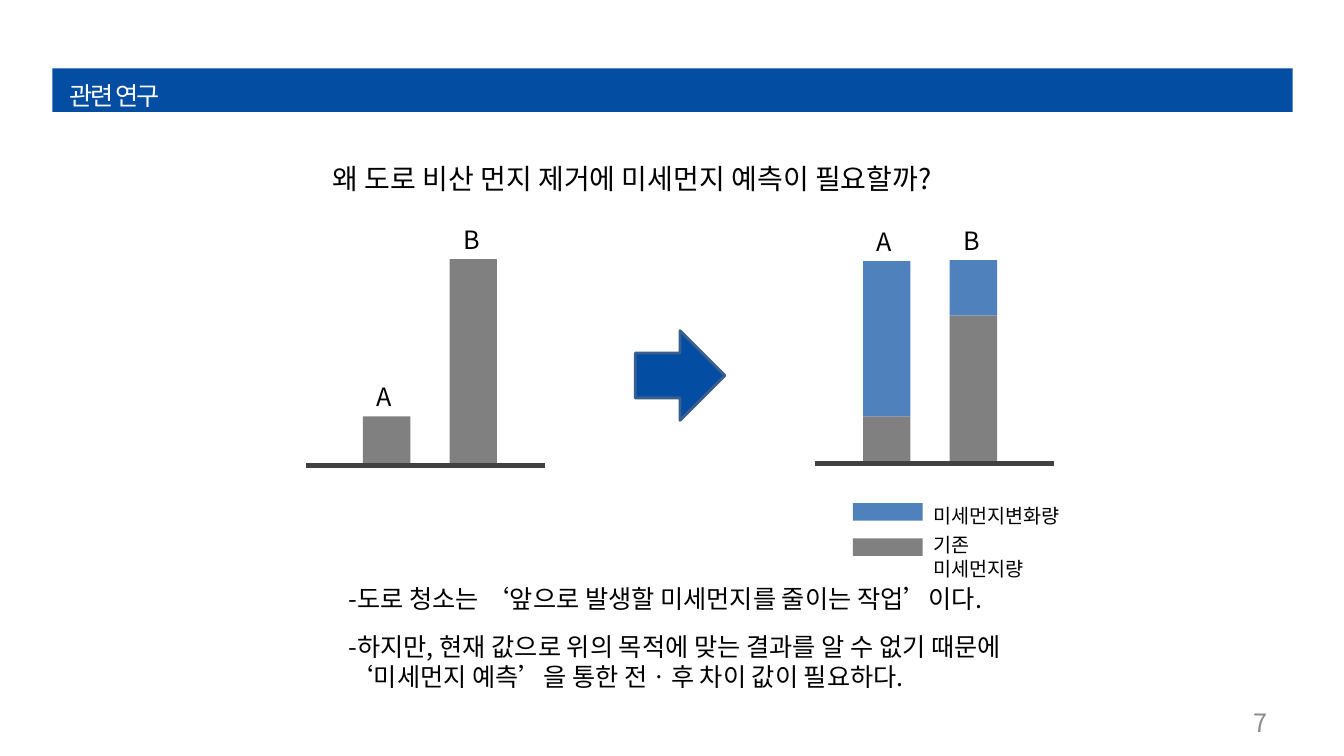
import pptx
import pptx.dml.color
import pptx.enum.shapes
import pptx.enum.text
import pptx.oxml
import pptx.oxml.ns
import pptx.util
from lxml import etree

RGBColor = pptx.dml.color.RGBColor
NAVY = RGBColor(0x03, 0x4E, 0xA2)
NAVY_EDGE = RGBColor(0x3A, 0x5F, 0x8C)
CHANGE_BLUE = RGBColor(0x4F, 0x81, 0xBD)
EXISTING_GRAY = RGBColor(0x80, 0x80, 0x80)
AXIS_GRAY = RGBColor(0x40, 0x40, 0x40)
NUMBER_GRAY = RGBColor(0x8C, 0x8C, 0x8C)
BLACK = RGBColor(0, 0, 0)
WHITE = RGBColor(0xFF, 0xFF, 0xFF)

FONT = "Noto Sans CJK KR"
SHAPE = pptx.enum.shapes.MSO_SHAPE
ALIGN = pptx.enum.text.PP_ALIGN
ANCHOR = pptx.enum.text.MSO_ANCHOR
CELL = pptx.util.Inches(0.1)  # the slide is a grid of 133.3 by 75 cells
BAR_WIDTH, BAR_PITCH, LABEL_RISE = 4.7, 8.6, 4.15


def cells(*counts):
    return [round(count * CELL) for count in counts]


def write(frame, lines, size, color=BLACK, align=ALIGN.LEFT,
          anchor=ANCHOR.TOP, tracking=None):
    frame.word_wrap = True
    frame.auto_size = pptx.enum.text.MSO_AUTO_SIZE.NONE
    frame.vertical_anchor = anchor
    frame.margin_left = frame.margin_right = CELL
    frame.margin_top, frame.margin_bottom = cells(0.7, 0.3)
    frame.text = "\n".join(lines)
    for paragraph in frame.paragraphs:
        paragraph.alignment = align
        paragraph.line_spacing = pptx.util.Pt(size * 1.2)
        paragraph.font.name = FONT
        paragraph.font.size = pptx.util.Pt(size)
        paragraph.font.color.rgb = color
        defaults = paragraph._p.pPr.find(pptx.oxml.ns.qn("a:defRPr"))
        etree.SubElement(defaults, pptx.oxml.ns.qn("a:ea"), typeface=FONT)
        if tracking:
            defaults.set("spc", str(tracking))


def add_text(slide, box, lines, size=18, **style):
    write(slide.shapes.add_textbox(*cells(*box)).text_frame, lines, size, **style)


def add_block(slide, box, fill, kind=SHAPE.RECTANGLE):
    block = slide.shapes.add_shape(kind, *cells(*box))
    block.shadow.inherit = False
    block.fill.solid()
    block.fill.fore_color.rgb = fill
    block.line.fill.background()
    return block


def add_header(slide, box, heading):
    left, top, width, height = box
    banner = add_block(slide, box, NAVY)
    title = slide.shapes.title
    title.left, title.top, title.width, title.height = cells(
        left + 0.7, top + 0.5, 75.2, 4)
    write(title.text_frame, [heading], 18, WHITE, tracking=-150)
    title._element.addprevious(banner._element)


def add_bars(slide, axis, indent, bars):
    """Stand labelled stacks of (height, fill) on an axis (left, top, width)."""
    left, base, width = axis
    for index, (label, stack) in enumerate(bars):
        bar_left = left + indent + index * BAR_PITCH
        top = base
        for height, fill in stack:
            top -= height
            add_block(slide, (bar_left, top, BAR_WIDTH, height), fill)
        add_text(slide, (bar_left + 0.4, top - LABEL_RISE, BAR_WIDTH, 4), [label])
    line = slide.shapes.add_connector(
        pptx.enum.shapes.MSO_CONNECTOR.STRAIGHT,
        *cells(left, base, left + width, base))
    line.line.color.rgb = AXIS_GRAY
    line.line.width = pptx.util.Pt(4)
    etree.SubElement(line._element.spPr, pptx.oxml.ns.qn("a:effectLst"))


def add_arrow(slide, box):
    arrow = add_block(slide, box, NAVY, SHAPE.RIGHT_ARROW)
    arrow.line.color.rgb = NAVY_EDGE
    arrow.line.width = pptx.util.Pt(2)


def add_legend(slide, box, entries):
    left, top, width, pitch = box
    for index, (name, fill, name_width, drop) in enumerate(entries):
        row = top + index * pitch
        add_block(slide, (left, row, width, 1.75), fill)
        add_text(slide, (left + width + 0.1, row + drop, name_width, 3.4),
                 [name], 14)


def main():
    deck = pptx.Presentation()
    deck.slide_width = pptx.util.Inches(13.33)
    deck.slide_height = pptx.util.Inches(7.5)
    slide = deck.slides.add_slide(deck.slide_layouts.get_by_name("Title Only"))

    add_header(slide, (5.2, 6.8, 123, 4.3), "관련 연구")
    add_text(slide, (32, 15.3, 70.7, 4.4),
             ["왜 도로 비산 먼지 제거에 미세먼지 예측이 필요할까?"], 20)
    add_bars(slide, (30.4, 46.2, 23.7), 5.6, [
        ("A", [(4.9, EXISTING_GRAY)]),
        ("B", [(20.5, EXISTING_GRAY)]),
    ])
    add_arrow(slide, (63, 32.8, 8.9, 8.9))
    add_bars(slide, (80.8, 46, 23.7), 4.8, [
        ("A", [(4.7, EXISTING_GRAY), (15.4, CHANGE_BLUE)]),
        ("B", [(14.7, EXISTING_GRAY), (5.5, CHANGE_BLUE)]),
    ])
    add_legend(slide, (84.6, 49.9, 6.9, 3.5), [
        ("미세먼지변화량", CHANGE_BLUE, 19.9, -0.6),
        ("기존 미세먼지량", EXISTING_GRAY, 14.7, -1.2),
    ])
    add_text(slide, (33.6, 57.2, 69.6, 4),
             ["-도로 청소는 ‘앞으로 발생할 미세먼지를 줄이는 작업’이다."])
    add_text(slide, (33.6, 61.9, 69.6, 7.1),
             ["-하지만, 현재 값으로 위의 목적에 맞는 결과를 알 수 없기 때문에",
              "‘미세먼지 예측’을 통한 전ㆍ후 차이 값이 필요하다."])
    add_text(slide, (95.6, 69.5, 31.1, 4), ["7"], color=NUMBER_GRAY,
             align=ALIGN.RIGHT, anchor=ANCHOR.MIDDLE)
    deck.save("out.pptx")


if __name__ == "__main__":
    main()
